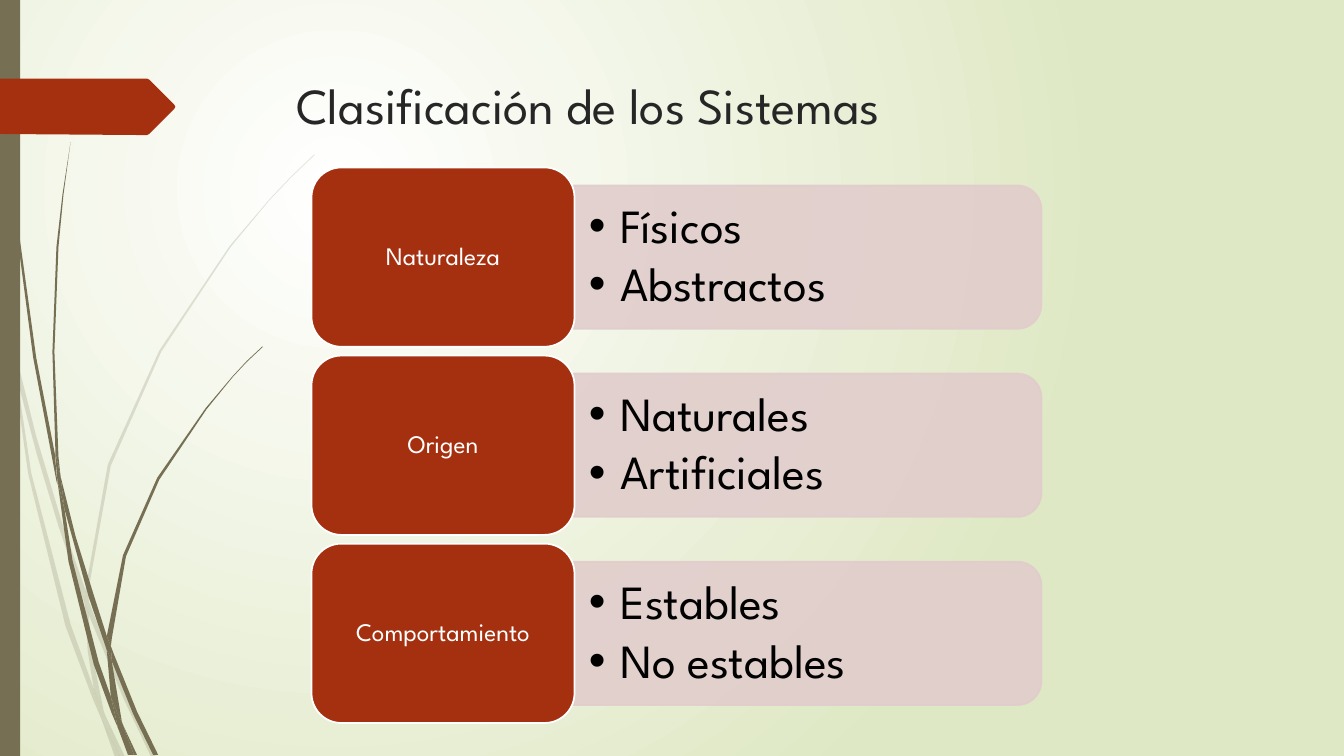
import dataclasses

import lxml.etree
import pptx
import pptx.dml.color
import pptx.enum.shapes
import pptx.enum.text
import pptx.oxml.ns
import pptx.util

Cm = pptx.util.Cm
Pt = pptx.util.Pt
qn = pptx.oxml.ns.qn
SHAPE = pptx.enum.shapes.MSO_SHAPE
ALIGN = pptx.enum.text.PP_ALIGN
ANCHOR = pptx.enum.text.MSO_ANCHOR


@dataclasses.dataclass(frozen=True)
class Theme:
    font: str = "League Spartan"
    light: str = "FFFFFF"
    green: str = "DFE8C4"
    olive: str = "766F54"
    red: str = "A53010"
    pink: str = "E1CDCC"
    ink: str = "262626"
    black: str = "000000"
    title: float = 36
    item: float = 34
    label: float = 18
    edge: float = 1.25


THEME = Theme()
UNIT = Cm(0.0254)

ROWS = [
    ("Naturaleza", ["Físicos", "Abstractos"]),
    ("Origen", ["Naturales", "Artificiales"]),
    ("Comportamiento", ["Estables", "No estables"]),
]

PALE = [
    "11,350 9,322 0,282 0,299 10,344",
    "58,522 84,599 85,586 62,520 36,433 14,345 17,376 36,449",
    "92,607 88,596 88,610 123,694 150,751 155,751 127,692",
    "119,751 124,751 105,711",
    "93,683 70,619 31,469 17,376 11,350 28,470 65,621 92,693 101,714 99,707",
    "84,599 87,646 93,683 96,692 105,711 103,706 91,646 88,610 88,608",
    "88,584 110,462 160,349 229,245 268,198 290,175 312,154 312,153 289,175"
    " 268,197 228,244 158,348 107,461 85,584 85,586 88,596",
    "101,714 114,751 119,751",
    "88,608 88,610 88,596 85,586 84,599",
    "96,692 93,683 99,707 101,714 119,751 105,711",
]
DARK = [
    "7,110 17,233 33,355 56,477 57,481 55,457 55,453 36,355 19,232 8,109"
    " 5,48 4,0 3,0 4,48",
    "88,592 106,645 106,633 106,631 93,590 75,532 60,472 64,505",
    "113,649 110,641 111,656 132,708 152,749 157,749 136,706",
    "110,691 98,657 72,556 64,505 57,477 68,557 93,659 111,708 117,722 116,717",
    "60,472 58,453 54,349 58,245 63,193 70,141 62,193 56,245 52,349 55,449",
    "133,749 136,749 122,719",
    "57,477 64,505 60,472 55,449 55,453",
    "111,633 125,552 158,476 205,406 231,374 245,359 261,344 260,344 245,358"
    " 231,373 204,405 156,474 122,551 106,631 110,641",
    "117,722 127,749 131,749",
    "106,645 110,691 116,706 122,719 121,716 111,656 109,651",
    "106,645 109,651 111,656 110,641 106,631 106,633",
    "116,706 110,691 116,717 117,722 130,749 133,749 122,719",
]
RIBBON = "173,108 148,133 146,134 136,134 0,133 0,78 136,78 146,78 148,79 173,104 174,106"


def tint(code):
    return pptx.dml.color.RGBColor.from_string(code)


def paint(shape, fill, line=None, alpha=None):
    shape.shadow.inherit = False
    shape.fill.solid()
    shape.fill.fore_color.rgb = tint(fill)
    if line:
        shape.line.color.rgb = tint(line)
        shape.line.width = Pt(THEME.edge)
    else:
        shape.line.fill.background()
    if alpha:
        for color in shape.element.spPr.iter(qn("a:srgbClr")):
            lxml.etree.SubElement(color, qn("a:alpha"), val=str(alpha * 1000))


def place(shape, left, top, width, height):
    shape.left, shape.top = Cm(left), Cm(top)
    shape.width, shape.height = Cm(width), Cm(height)


def style(frame, size, color, align, anchor):
    frame.word_wrap = True
    frame.auto_size = pptx.enum.text.MSO_AUTO_SIZE.NONE
    frame.vertical_anchor = anchor
    for para in frame.paragraphs:
        para.alignment = align
        for run in para.runs:
            run.font.name = THEME.font
            run.font.size = Pt(size)
            run.font.bold = False
            run.font.color.rgb = tint(color)


def inset(frame, side, edge):
    frame.margin_left = frame.margin_right = Cm(side)
    frame.margin_top = frame.margin_bottom = Cm(edge)


def outline(shapes, text, fill, alpha=None):
    points = [tuple(map(int, pair.split(","))) for pair in text.split()]
    pen = shapes.build_freeform(*points[0], scale=UNIT)
    pen.add_line_segments(points[1:], close=True)
    paint(pen.convert_to_shape(), fill, alpha=alpha)


def grass(slide, blades, alpha=None):
    group = slide.shapes.add_group_shape()
    for blade in blades:
        outline(group.shapes, blade, THEME.olive, alpha)


def backdrop(slide):
    fill = slide.background.fill
    fill.gradient()
    for stop, code in zip(fill.gradient_stops, (THEME.light, THEME.green)):
        stop.color.rgb = tint(code)
    grad = slide.element.find(".//" + qn("a:gradFill"))
    grad.remove(grad.find(qn("a:lin")))
    round_fill = lxml.etree.SubElement(grad, qn("a:path"), path="circle")
    lxml.etree.SubElement(round_fill, qn("a:fillToRect"),
                          l="50000", t="50000", r="100000", b="100000")


def heading(slide, text):
    title = slide.shapes.title
    place(title, 7.21, 1.73, 24.77, 3.56)
    title.text_frame.text = text
    style(title.text_frame, THEME.title, THEME.ink, ALIGN.LEFT, ANCHOR.TOP)


def bullet(para):
    para.level = 1
    para.line_spacing = 0.9
    para.space_before = Pt(0)
    props = para._p.get_or_add_pPr()
    props.set("marL", str(Cm(0.79)))
    props.set("indent", str(Cm(-0.79)))
    after = lxml.etree.SubElement(props, qn("a:spcAft"))
    lxml.etree.SubElement(after, qn("a:spcPct"), val="15000")
    lxml.etree.SubElement(props, qn("a:buFont"), typeface="Arial")
    lxml.etree.SubElement(props, qn("a:buChar"), char="•")


def panel(slide, middle):
    width, height = 3.61, 11.79
    shape = slide.shapes.add_shape(
        SHAPE.ROUND_2_SAME_RECTANGLE, Cm(20.35 - width / 2),
        Cm(middle - height / 2), Cm(width), Cm(height))
    shape.rotation = 90
    paint(shape, THEME.pink, THEME.pink, 90)


def listing(slide, body, items, middle):
    place(body, 14.48, middle - 1.63, 11.61, 3.26)
    slide.shapes.element.append(body.element)
    frame = body.text_frame
    frame.text = "\n".join(items)
    inset(frame, 0.36, 0.18)
    style(frame, THEME.item, THEME.black, ALIGN.LEFT, ANCHOR.MIDDLE)
    for para in frame.paragraphs:
        bullet(para)


def label(slide, text, middle):
    shape = slide.shapes.add_shape(SHAPE.ROUNDED_RECTANGLE, Cm(7.85),
                                   Cm(middle - 2.26), Cm(6.63), Cm(4.52))
    paint(shape, THEME.red, THEME.light)
    shape.text_frame.text = text
    inset(shape.text_frame, 0.18, 0.1)
    style(shape.text_frame, THEME.label, THEME.light, ALIGN.CENTER, ANCHOR.MIDDLE)
    shape.text_frame.paragraphs[0].line_spacing = 0.9


def main():
    deck = pptx.Presentation()
    deck.slide_width, deck.slide_height = Cm(33.87), Cm(19.05)
    slide = deck.slides.add_slide(deck.slide_layouts.get_by_name("Comparison"))
    title, *bodies = slide.placeholders
    backdrop(slide)
    grass(slide, PALE, 20)
    grass(slide, DARK)
    stripe = slide.shapes.add_shape(SHAPE.RECTANGLE, 0, 0, Cm(0.51), deck.slide_height)
    paint(stripe, THEME.olive)
    outline(slide.shapes, RIBBON, THEME.red)
    heading(slide, "Clasificación de los Sistemas")
    for index, (name, items) in enumerate(ROWS):
        middle = 6.48 + index * 4.74
        panel(slide, middle)
        listing(slide, bodies[index], items, middle)
        label(slide, name, middle)
    for spare in bodies[len(ROWS):]:
        slide.shapes.element.remove(spare.element)
    deck.save("out.pptx")


if __name__ == "__main__":
    main()
